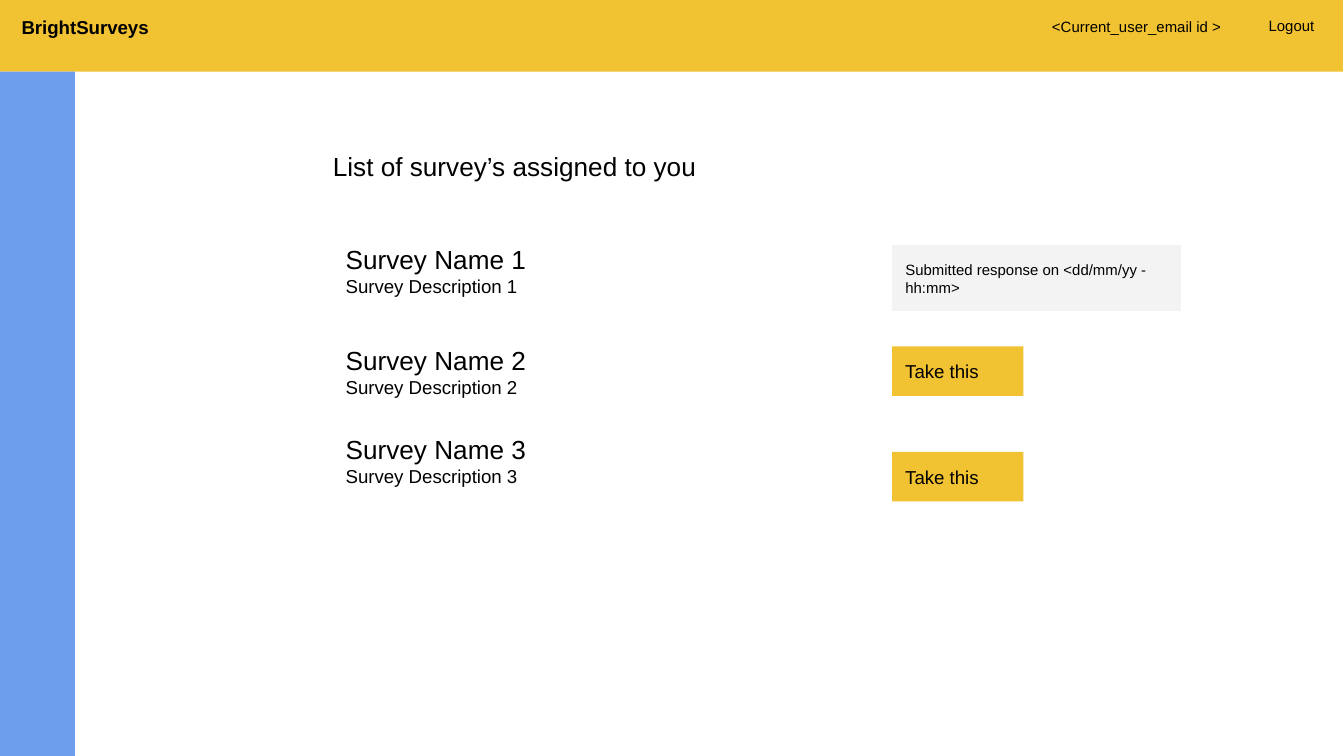
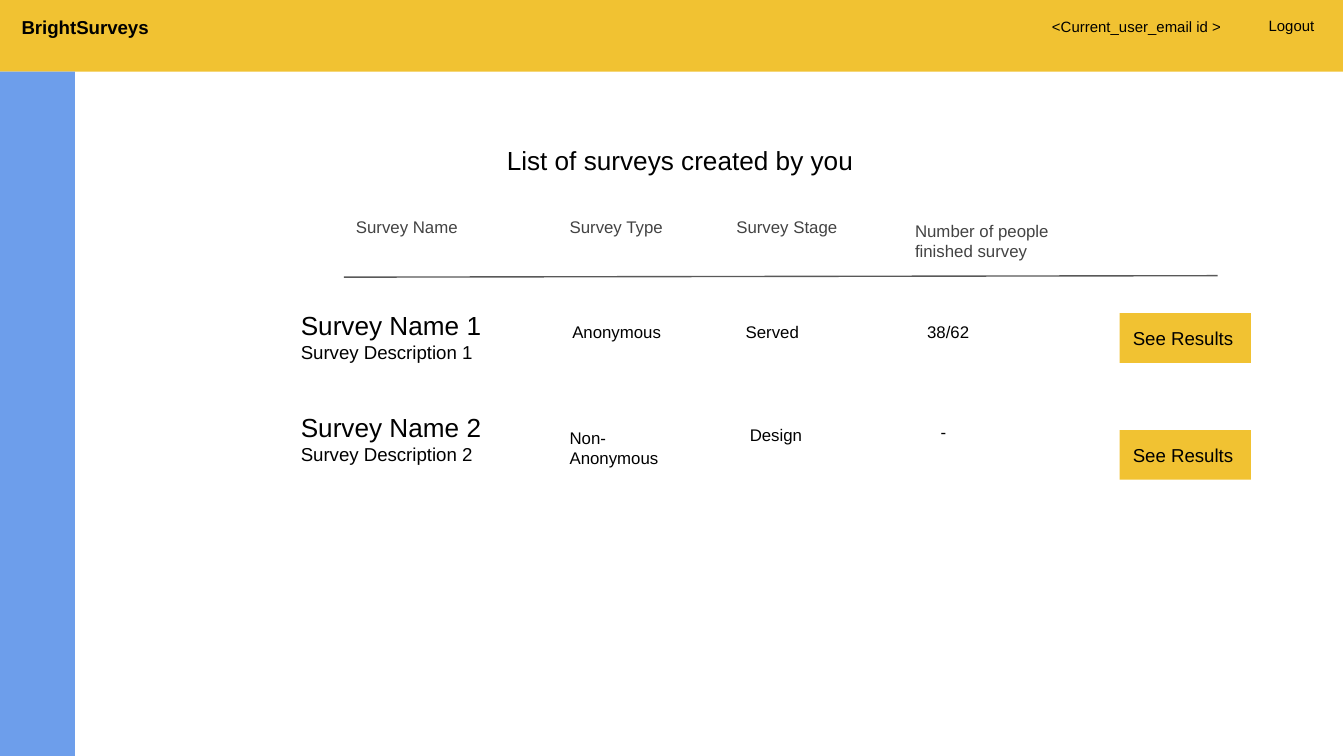
from lxml import etree
from pptx import Presentation, util as u
from pptx.dml.color import RGBColor
from pptx.enum import shapes, text
from pptx.oxml.ns import qn

W, H = 720, 405
INSET = 7.2
FONT = "Arial"
C = {
    "band": "F1C232",
    "side": "6D9EEB",
    "muted": "F3F3F3",
    "ink": "000000",
    "label": "434343",
    "rule": "595959",
}


def rgb(name):
    return RGBColor.from_string(C[name])


def write(tf, lines, color="ink", bold=False):
    tf.word_wrap = True
    tf.margin_left = tf.margin_right = u.Pt(INSET)
    tf.margin_top = tf.margin_bottom = u.Pt(INSET)
    for i, (words, size) in enumerate(lines):
        p = tf.add_paragraph() if i else tf.paragraphs[0]
        p.alignment = text.PP_ALIGN.LEFT
        r = p.add_run()
        r.text = words
        r.font.name = FONT
        r.font.size = u.Pt(size)
        r.font.bold = bold
        r.font.color.rgb = rgb(color)


def label(parent, box, lines, color="ink", bold=False):
    sp = parent.add_textbox(*map(u.Pt, box))
    tf = sp.text_frame
    write(tf, lines, color, bold)
    tf.vertical_anchor = text.MSO_ANCHOR.TOP
    tf.auto_size = text.MSO_AUTO_SIZE.SHAPE_TO_FIT_TEXT


def block(parent, box, fill, lines=()):
    sp = parent.add_shape(shapes.MSO_SHAPE.RECTANGLE, *map(u.Pt, box))
    sp.shadow.inherit = False
    sp.fill.solid()
    sp.fill.fore_color.rgb = rgb(fill)
    sp.line.fill.background()
    if lines:
        write(sp.text_frame, lines)
        sp.text_frame.vertical_anchor = text.MSO_ANCHOR.MIDDLE


def button(s, x, y, words):
    block(s.shapes, (x, y, 70.4, 26.6), "band", [(words, 10)])


def survey(s, box, number):
    label(s.shapes, box, [(f"Survey Name {number}", 14),
                          (f"Survey Description {number}", 10)])


def rule(s, x1, y1, x2, y2):
    ln = s.shapes.add_connector(shapes.MSO_CONNECTOR.STRAIGHT,
                                *map(u.Pt, (x1, y1, x2, y2)))
    ln.line.color.rgb = rgb("rule")
    ln.line.width = u.Pt(0.75)
    etree.SubElement(ln._element.spPr, qn("a:effectLst"))


def header(s, x, y, w, h):
    group = s.shapes.add_group_shape().shapes
    block(group, (x, y, w, h), "band")
    label(group, (x + 5, y + 4.3, 103, 26.6), [("BrightSurveys", 10)], bold=True)
    label(group, (x + w - 47, y + 5.8, 46.8, 24.5), [("Logout", 8)])
    label(group, (x + w - 163, y + 6.3, 116, 24.5),
          [("<Current_user_email id >", 8)])


def page(prs, title, x, y):
    s = prs.slides.add_slide(prs.slide_layouts[6])
    header(s, -0.5, -1.8, W, 40.2)
    block(s.shapes, (0, 38.4, 40.2, H - 38.4), "side")
    label(s.shapes, (x, y, 337.7, 31.7), [(title, 14)])
    return s


def assigned_list(s, x, y, w):
    action_x = x + 299.8
    for number, dy in enumerate((0, 54, 102), 1):
        survey(s, (x, y + dy, w, 44), number)
    block(s.shapes, (action_x, y + 8.2, 154.8, 35.2), "muted",
          [("Submitted response on <dd/mm/yy - hh:mm>", 8)])
    for dy in (62.4, 118.9):
        button(s, action_x, y + dy, "Take this")


def created_list(s, x, y):
    headings = [
        ("Survey Name", 29.5, 77),
        ("Survey Type", 144, 77),
        ("Survey Stage", 233.3, 77),
        ("Number of people finished survey", 329, 104.4),
    ]
    for words, dx, w in headings:
        label(s.shapes, (x + dx, y, w, 25.2), [(words, 9)], "label")
    rule(s, x + 30.2, y + 37.6, x + 498.2, y + 36.8)

    rows = [
        (47.6, 56.9, [("Anonymous", 145.4, 0), ("Served", 238.3, 0),
                      ("38/62", 335.5, 0)]),
        (102.5, 119.5, [("Non- Anonymous", 144, 0), ("Design", 240.5, 0),
                        ("-", 342.7, -1.4)]),
    ]
    for number, (dy, button_dy, cells) in enumerate(rows, 1):
        survey(s, (x, y + dy, 139.7, 44), number)
        for words, dx, lift in cells:
            label(s.shapes, (x + dx, y + dy + 8.5 + lift, 77, 25.2), [(words, 9)])
        button(s, x + 445.7, y + button_dy, "See Results")


def main():
    prs = Presentation()
    prs.slide_width, prs.slide_height = u.Pt(W), u.Pt(H)
    s = page(prs, "List of survey’s assigned to you", 171.2, 73.5)
    assigned_list(s, 178.1, 123.2, 337.7)
    s = page(prs, "List of surveys created by you", 264.4, 69.9)
    created_list(s, 154.1, 110.9)
    prs.save("out.pptx")


if __name__ == "__main__":
    main()
